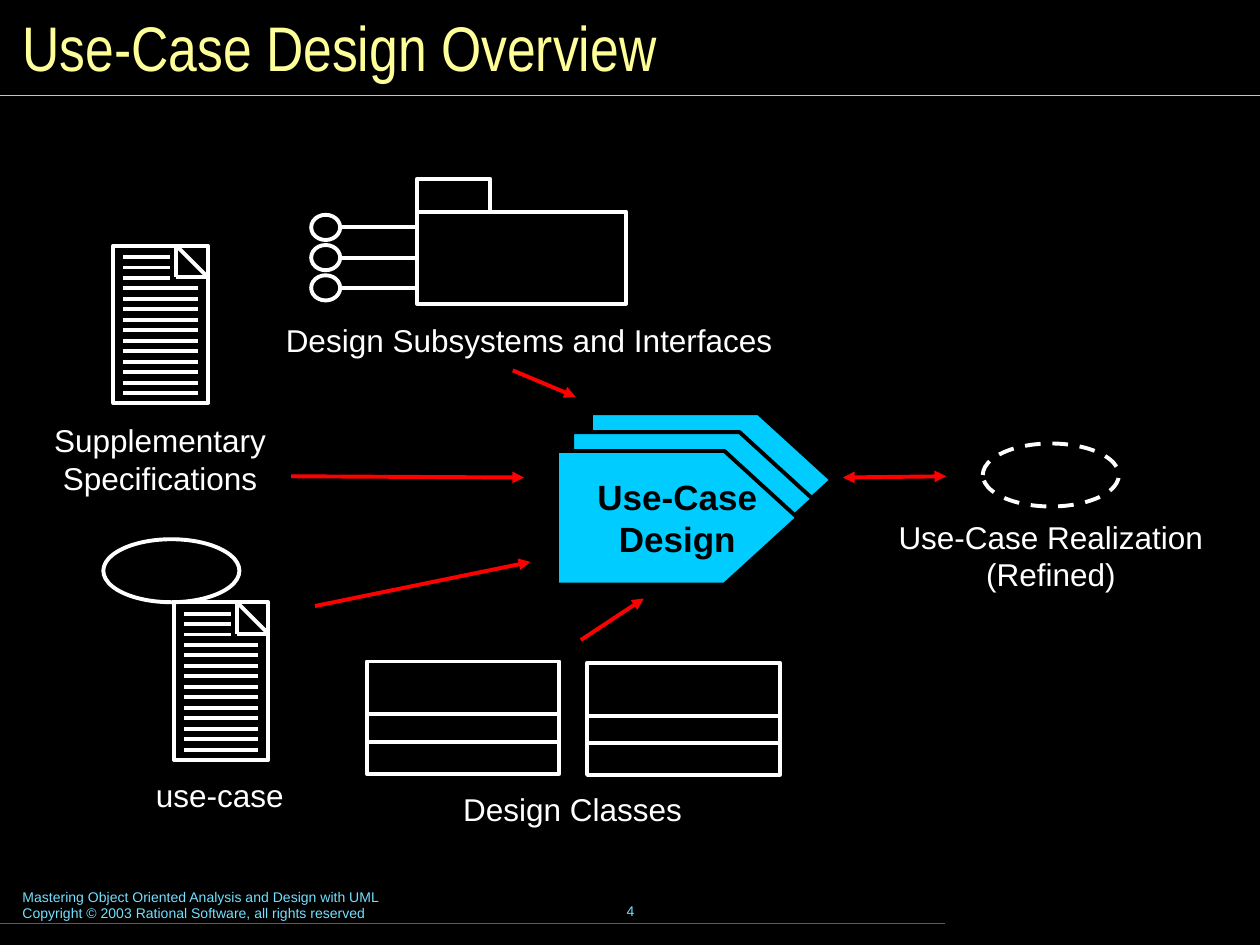
"""Builds the use-case design overview slide."""
from lxml import etree
from pptx import Presentation
from pptx import util as u
from pptx.dml.color import RGBColor
from pptx.enum import dml, shapes, text
from pptx.oxml import ns

WHITE, BLACK, RED, CYAN = "FFFFFF", "000000", "FF0000", "00CCFF"
SKY, TEAL, CREAM = "73E1FF", "007E9F", "FFFF99"

LABELS = [
    (["Supplementary", "Specifications"], (0.33, 3.29, 1.88, 0.7)),
    (["Use-Case Realization", "(Refined)"], (7.03, 4.06, 2.62, 0.7)),
    (["Design Subsystems and Interfaces"], (2.17, 2.5, 4.06, 0.4)),
    (["Design Classes"], (3.38, 6.22, 2.33, 0.4)),
    (["use-case"], (0.74, 6.11, 2.01, 0.4)),
]
FOOT = ["Mastering Object Oriented Analysis and Design with UML",
        "Copyright © 2003 Rational Software, all rights reserved"]
RULES = [((0, 7.33, 7.5, 7.33), TEAL), ((0, 0.76, 10, 0.76), SKY)]
ARROWS = [
    ((6.69, 3.79, 7.51, 3.78), ("headEnd", "tailEnd")),
    ((2.5, 4.81, 4.21, 4.46), ("tailEnd",)),
    ((2.31, 3.78, 4.16, 3.79), ("tailEnd",)),
    ((4.61, 5.08, 5.11, 4.75), ("tailEnd",)),
    ((4.07, 2.94, 4.57, 3.15), ("tailEnd",)),
]
PAGES = [(0.9, 1.95), (1.38, 4.78)]
TABLES = [(2.91, 5.25), (4.66, 5.26)]
STACK = [(4.69, 3.28), (4.54, 3.43), (4.42, 3.58)]
TAG = [(0, 0), (1.33, 0), (1.91, 0.53), (1.33, 1.06), (0, 1.06)]
PACK = (3.31, 1.68, 1.66, 0.73)
TAB = (3.31, 1.42, 0.58, 0.26)
BALL = (0.23, 0.2)
RECT, OVAL = shapes.MSO_SHAPE.RECTANGLE, shapes.MSO_SHAPE.OVAL

deck = Presentation()
deck.slide_width, deck.slide_height = u.Inches(10), u.Inches(7.5)
slide = deck.slides.add_slide(deck.slide_layouts[6])
parts = slide.shapes


def tint(code):
    return RGBColor.from_string(code)


def write(frame, lines, size, color, align="CENTER", anchor="TOP",
          face="Arial", bold=False, wrap=False):
    for key, val in {"word_wrap": wrap,
                     "vertical_anchor": text.MSO_ANCHOR[anchor]}.items():
        setattr(frame, key, val)
    look = {"size": u.Pt(size), "name": face, "bold": bold}
    for i, words in enumerate(lines):
        para = frame.add_paragraph() if i else frame.paragraphs[0]
        para.alignment = text.PP_ALIGN[align]
        run = para.add_run()
        run.text = words
        for key, val in look.items():
            setattr(run.font, key, val)
        run.font.color.rgb = tint(color)


def label(lines, spot, *args, **look):
    box = parts.add_textbox(*map(u.Inches, spot))
    write(box.text_frame, lines, *args, **look)


def style(shape, color, fill=None):
    shape.shadow.inherit = False
    if fill:
        shape.fill.solid()
        shape.fill.fore_color.rgb = tint(fill)
    else:
        shape.fill.background()
    shape.line.color.rgb = tint(color)
    shape.line.width = u.Pt(2.25)
    return shape


def draw(kind, *spot):
    return style(parts.add_shape(kind, *map(u.Inches, spot)), WHITE)


def link(spot, color=WHITE, width=2.25, tips=()):
    wire = parts.add_connector(shapes.MSO_CONNECTOR.STRAIGHT,
                               *map(u.Inches, spot))
    wire.line.color.rgb = tint(color)
    wire.line.width = u.Pt(width)
    props = wire.line._get_or_add_ln()
    for tip in tips:
        etree.SubElement(props, ns.qn("a:" + tip), type="triangle")
    etree.SubElement(wire._element.spPr, ns.qn("a:effectLst"))
    return wire


def page(x, y):
    draw(RECT, x, y, 0.75, 1.25)
    fold, edge, low = x + 0.5, x + 0.75, y + 0.25
    for spot in [(fold, y, edge, low), (fold, y, fold, low),
                 (edge, low, fold, low)]:
        link(spot)
    for i in range(14):
        row = y + 0.09 + i * 1.08 / 13
        link((x + 0.08, row, x + (0.45 if i < 3 else 0.67), row))


def table(x, y):
    draw(RECT, x, y, 1.53, 0.89)
    for gap in (0.42, 0.64):
        link((x, y + gap, x + 1.53, y + gap))


def package():
    body = draw(RECT, *PACK)
    draw(RECT, *TAB)
    left, mid = PACK[0], PACK[1] + PACK[3] / 2
    wide, high = BALL
    for i in (-1, 0, 1):
        row = mid + i * 0.24
        draw(OVAL, 2.47, row - high / 2, wide, high)
        wire = link((2.47 + wide, row, left, row))
        if i == 0:
            wire.end_connect(body, 1)


def stack():
    for x, y in STACK:
        spots = [(u.Inches(x + a), u.Inches(y + b)) for a, b in TAG]
        pen = parts.build_freeform(*spots[0])
        pen.add_line_segments(spots[1:], close=True)
        tag = style(pen.convert_to_shape(), BLACK, CYAN)
    write(tag.text_frame, ["Use-Case", "Design"], 20, BLACK,
          anchor="MIDDLE", bold=True)


def main():
    back = slide.background.fill
    back.solid()
    back.fore_color.rgb = tint(BLACK)
    label(FOOT, (0.08, 7, 5.1, 0.37), 8, SKY, align="LEFT", wrap=True)
    label(["4"], (3.42, 6.98, 3.17, 0.5), 8, SKY, anchor="MIDDLE")
    for spot, color in RULES:
        link(spot, color, 0.75)
    label(["Use-Case Design Overview"], (0.08, 0.08, 9.84, 0.58), 36, CREAM,
          align="LEFT", anchor="MIDDLE", face="Arial Narrow", wrap=True)
    for spot in PAGES:
        page(*spot)
    draw(OVAL, 0.82, 4.28, 1.08, 0.5)
    stack()
    ring = draw(OVAL, 7.8, 3.52, 1.08, 0.5)
    ring.line.dash_style = dml.MSO_LINE.DASH
    package()
    for spot in TABLES:
        table(*spot)
    for lines, spot in LABELS:
        label(lines, spot, 18, WHITE)
    for spot, tips in ARROWS:
        link(spot, RED, tips=tips)
    deck.save("out.pptx")


if __name__ == "__main__":
    main()
